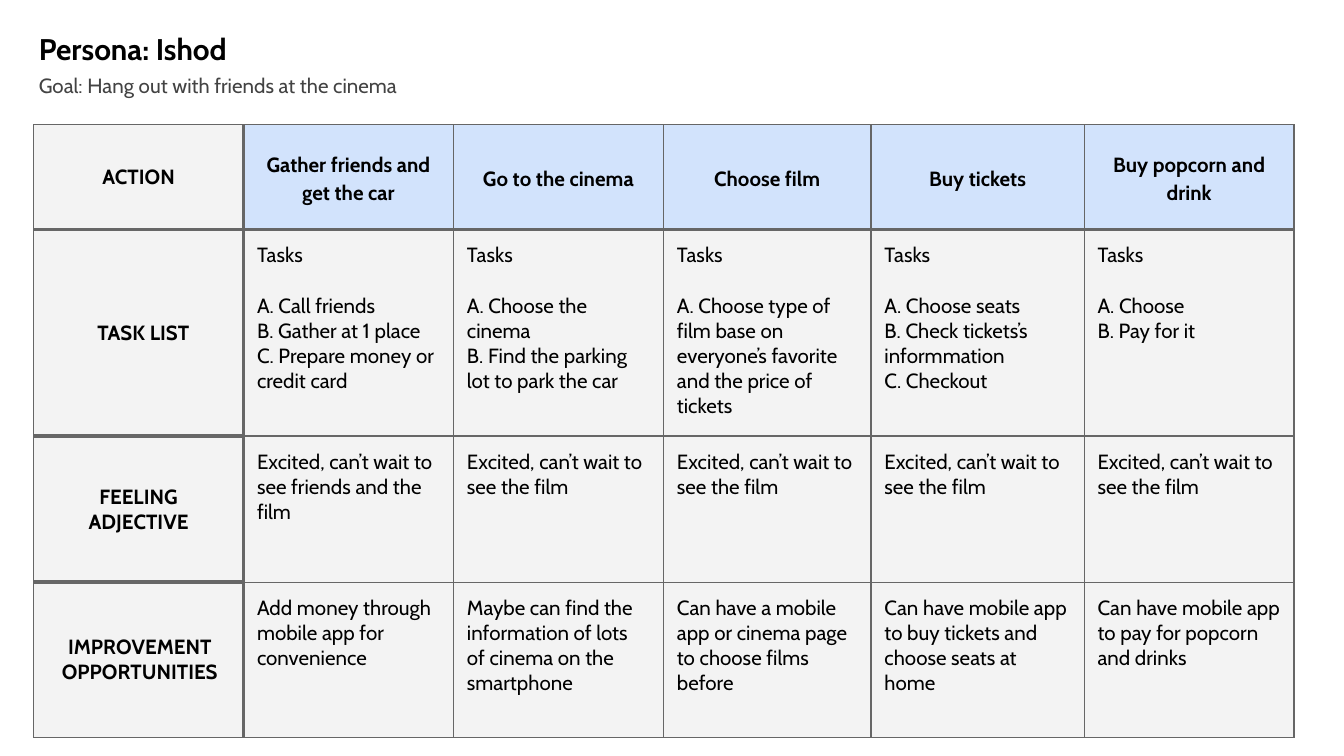
from lxml import etree
from pptx import Presentation
from pptx.enum import text as t
from pptx.dml.color import RGBColor
from pptx.oxml import ns
from pptx.util import Pt

HUES = {"ink": "000000", "goal": "434343", "line": "666666",
        "head": "D2E3FC", "cell": "F3F3F3"}
FONT = "Cabin"
THIN, THICK = 0.75, 2.25
PAD = 7.2

# text, box (left, top, width, height), size, bold, colour
TITLES = [
    ("Persona: Ishod", (13.7, 9.4, 140.4, 31.7), 16, True, "ink"),
    ("Goal: Hang out with friends at the cinema",
     (13.7, 32.4, 668.2, 21.6), 11, False, "goal"),
]
WIDTHS = [112.5, 112.5, 112.5, 111.2, 114.2, 112.5]
HEIGHTS = [56.2, 110.6, 78.4, 83.2]
FILM = "Excited, can’t wait to see the film"
ROWS = [
    ["ACTION", "Gather friends and get the car", "Go to the cinema",
     "Choose film", "Buy tickets", "Buy popcorn and drink"],
    ["TASK LIST",
     "Tasks\nA. Call friends\nB. Gather at 1 place\n"
     "C. Prepare money or credit card",
     "Tasks\nA. Choose the cinema\nB. Find the parking lot to park the car",
     "Tasks\nA. Choose type of film base on everyone’s favorite "
     "and the price of tickets",
     "Tasks\nA. Choose seats\nB. Check tickets’s informmation\nC. Checkout",
     "Tasks\nA. Choose\nB. Pay for it"],
    ["FEELING ADJECTIVE", "Excited, can’t wait to see friends and the film",
     FILM, FILM, FILM, FILM],
    ["IMPROVEMENT OPPORTUNITIES",
     "Add money through mobile app for convenience",
     "Maybe can find the information of lots of cinema on the smartphone",
     "Can have a mobile app or cinema page to choose films before",
     "Can have mobile app to buy tickets and choose seats at home",
     "Can have mobile app to pay for popcorn and drinks"],
]


def hue(name):
    return RGBColor.from_string(HUES[name])


def style(para, size, bold, name):
    for run in para.runs:
        font = run.font
        font.name, font.size, font.bold = FONT, Pt(size), bold
        font.color.rgb = hue(name)


def pad(box):
    box.margin_left = box.margin_right = Pt(PAD)
    box.margin_top = box.margin_bottom = Pt(PAD)


def edge(cell, row, col):
    """Draw the four borders, thick around the two headers."""
    side = col == 0 and row > 0
    thick = {"L": col == 1, "R": col == 0,
             "T": row == 1 or side,
             "B": row == 0 or (side and row < len(ROWS) - 1)}
    props = cell._tc.get_or_add_tcPr()
    for i, (key, wide) in enumerate(thick.items()):
        line = etree.Element(ns.qn("a:ln" + key),
                             w=str(Pt(THICK if wide else THIN)))
        fill = etree.SubElement(line, ns.qn("a:solidFill"))
        etree.SubElement(fill, ns.qn("a:srgbClr"), val=HUES["line"])
        props.insert(i, line)


def fill_cell(cell, words, row, col):
    head = row == 0 or col == 0
    top = row == 0 and col > 0
    cell.fill.solid()
    cell.fill.fore_color.rgb = hue("head" if top else "cell")
    pad(cell)
    cell.vertical_anchor = (t.MSO_ANCHOR.MIDDLE if head
                            else t.MSO_ANCHOR.TOP)
    cell.text_frame.text = words
    for para in cell.text_frame.paragraphs:
        style(para, 11, head, "ink")
        if head:
            para.alignment = t.PP_ALIGN.CENTER
        if top:
            para.line_spacing = 1.15
        if para.text == "Tasks":
            para.space_after = Pt(13.4)
    edge(cell, row, col)


deck = Presentation()
deck.slide_width, deck.slide_height = Pt(720), Pt(405)
slide = deck.slides.add_slide(deck.slide_layouts[6])

for words, spot, size, bold, name in TITLES:
    frame = slide.shapes.add_textbox(*map(Pt, spot)).text_frame
    frame.word_wrap = True
    pad(frame)
    frame.text = words
    style(frame.paragraphs[0], size, bold, name)

grid = slide.shapes.add_table(len(ROWS), len(WIDTHS), Pt(18), Pt(66.8),
                              Pt(sum(WIDTHS)), Pt(sum(HEIGHTS))).table
for col, wide in zip(grid.columns, WIDTHS):
    col.width = Pt(wide)
for line, high in zip(grid.rows, HEIGHTS):
    line.height = Pt(high)
for r, row in enumerate(ROWS):
    for c, words in enumerate(row):
        fill_cell(grid.cell(r, c), words, r, c)

# Two row headers sit slightly to the right
tasks = grid.cell(1, 0).text_frame.paragraphs[0]._p.get_or_add_pPr()
tasks.set("marL", str(Pt(13.7)))
tasks.set("indent", str(Pt(-8.6)))
grid.cell(3, 0).margin_left = Pt(8.6)

deck.save("out.pptx")
